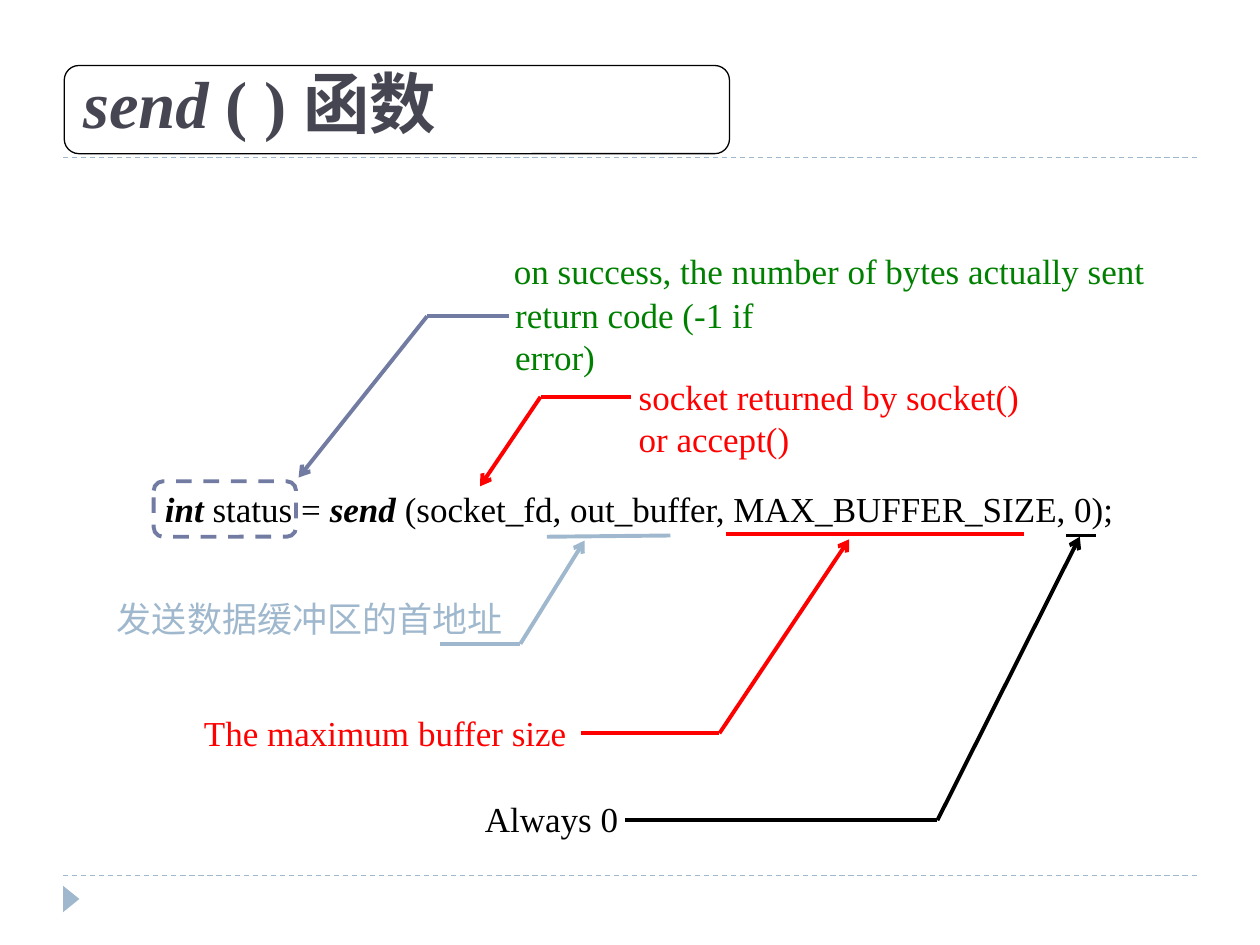
from pptx import Presentation
from pptx.dml.color import RGBColor
from pptx.enum.dml import MSO_LINE
from pptx.enum.shapes import MSO_CONNECTOR, MSO_SHAPE
from pptx.enum.text import MSO_ANCHOR, MSO_AUTO_SIZE, PP_ALIGN
from pptx.oxml.ns import qn
from pptx.util import Inches, Pt
from lxml import etree

FONT = "Times New Roman"
DASH = MSO_LINE.DASH
ROUND = MSO_SHAPE.ROUNDED_RECTANGLE
TRIANGLE = MSO_SHAPE.ISOSCELES_TRIANGLE
STRAIGHT = MSO_CONNECTOR.STRAIGHT
GROW = MSO_AUTO_SIZE.SHAPE_TO_FIT_TEXT
FIXED = MSO_AUTO_SIZE.NONE
TOP = MSO_ANCHOR.TOP
LEFT = PP_ALIGN.LEFT

BLACK, WHITE, RED, GREEN = "000000", "FFFFFF", "FF0000", "008000"
SLATE, SKY, INK = "727CA3", "9FB8CD", "464653"

CODE = [("int", True), (" status = ", False), ("send", True),
        (" (socket_fd, out_buffer, MAX_BUFFER_SIZE, 0);", False)]
UNDERLINES = [((3.13, 0.44), (4.11, 0.43), SKY),
              ((4.55, 0.42), (6.92, 0.42), RED),
              ((7.25, 0.43), (7.49, 0.43), BLACK)]
NOTES = [
    ((3.99, 2.28, 2.79, 0.44), "return code (-1 if error)", GREEN, SLATE,
     [(0.05, 0.23), (-0.6, 0.23), (-1.62, 1.51)]),
    ((4.97, 2.93, 3.22, 0.77), "socket returned by socket()\nor accept()", RED, RED,
     [(0.04, 0.22), (-0.68, 0.22), (-1.16, 0.93)]),
    ((3.75, 6.28, 1.26, 0.44), "Always 0", BLACK, BLACK,
     [(1.21, 0.23), (3.69, 0.23), (4.82, -2.02)]),
    ((1.52, 5.6, 3.08, 0.44), "The maximum buffer size", RED, RED,
     [(3.09, 0.22), (4.19, 0.22), (5.22, -1.32)]),
    ((0.83, 4.69, 3.26, 0.44), "发送数据缓冲区的首地址", SKY, SKY,
     [(2.66, 0.42), (3.3, 0.42), (3.81, -0.4)]),
    ((3.98, 1.93, 5.21, 0.44), "on success, the number of bytes actually sent",
     GREEN, GREEN, []),
]


def tint(value):
    """Turn a hex string into a colour."""
    return RGBColor.from_string(value)


def shift(box, point):
    """Move a point from the box's corner to the slide."""
    return box[0] + point[0], box[1] + point[1]


def style(font, size, color, strong=False, slant=False):
    """Set the look of a run."""
    font.name, font.size = FONT, Pt(size)
    font.bold, font.italic = strong, slant
    font.color.rgb = tint(color)


def add_line(slide, start, end, color, width=2.25, dash=None, arrow=False):
    """Draw a straight line, with an open arrowhead if asked."""
    line = slide.shapes.add_connector(STRAIGHT, *map(Inches, (*start, *end)))
    line.line.color.rgb = tint(color)
    line.line.width = Pt(width)
    if dash:
        line.line.dash_style = dash
    if arrow:
        etree.SubElement(line.line._get_or_add_ln(), qn("a:tailEnd"), type="arrow")
    etree.SubElement(line.element.spPr, qn("a:effectLst"))


def add_shape(slide, kind, box, fill=None, color=None, width=0.75):
    """Draw a preset shape."""
    shape = slide.shapes.add_shape(kind, *map(Inches, box))
    shape.shadow.inherit = False
    if fill:
        shape.fill.solid()
        shape.fill.fore_color.rgb = tint(fill)
    else:
        shape.fill.background()
    if color:
        shape.line.color.rgb = tint(color)
        shape.line.width = Pt(width)
    else:
        shape.line.fill.background()
    return shape


def add_text(slide, box):
    """Add an unwrapped text box and return its frame."""
    frame = slide.shapes.add_textbox(*map(Inches, box)).text_frame
    frame.word_wrap = False
    frame.auto_size = GROW
    return frame


def add_frame(slide, box):
    """Draw the dashed rules and the corner marker."""
    left, top, width, height = box
    for y in (top, top + height):
        add_line(slide, (left, y), (left + width, y), SKY, 0.75, DASH)
    mark = add_shape(slide, TRIANGLE, (left - 0.04, top + height + 0.12, 0.21, 0.13), SKY)
    mark.rotation = 90


def add_title(slide, box):
    """Place the title over its rounded box."""
    add_shape(slide, ROUND, box, WHITE, BLACK)
    title = slide.shapes.title
    title.element.getparent().append(title.element)
    left, top = shift(box, (0.05, -0.08))
    title.left, title.top = Inches(left), Inches(top)
    title.width, title.height = Inches(5.31), Inches(0.74)
    frame = title.text_frame
    frame.auto_size, frame.vertical_anchor = FIXED, TOP
    para = frame.paragraphs[0]
    para.alignment = LEFT
    for text, slant in (("send", True), (" ( ) 函数", False)):
        run = para.add_run()
        run.text = text
        style(run.font, 38, INK, True, slant)


def add_code(slide, box):
    """Write the call with its marked parts."""
    para = add_text(slide, box).paragraphs[0]
    for text, strong in CODE:
        run = para.add_run()
        run.text = text
        style(run.font, 20, BLACK, strong, strong)
    frame = add_shape(slide, ROUND, (*shift(box, (0.01, 0)), 1.13, box[3]), None, SLATE, 2.25)
    frame.line.dash_style = DASH
    for start, end, color in UNDERLINES:
        add_line(slide, shift(box, start), shift(box, end), color)


def add_note(slide, box, text, color, stroke, route):
    """Write a note and lead an arrow from it along the route."""
    frame = add_text(slide, box)
    frame.text = text
    for para in frame.paragraphs:
        for run in para.runs:
            style(run.font, 20, color)
    if route:
        start, bend, tip = (shift(box, point) for point in route)
        add_line(slide, start, bend, stroke)
        add_line(slide, bend, tip, stroke, arrow=True)


def main():
    """Build and save the slide."""
    deck = Presentation()
    deck.slide_width, deck.slide_height = Inches(10), Inches(7.5)
    slide = deck.slides.add_slide(deck.slide_layouts[5])
    add_frame(slide, (0.5, 1.25, 9, 5.7))
    add_code(slide, (1.21, 3.82, 7.75, 0.44))
    for note in NOTES:
        add_note(slide, *note)
    add_title(slide, (0.51, 0.52, 5.28, 0.7))
    deck.save("out.pptx")


if __name__ == "__main__":
    main()
